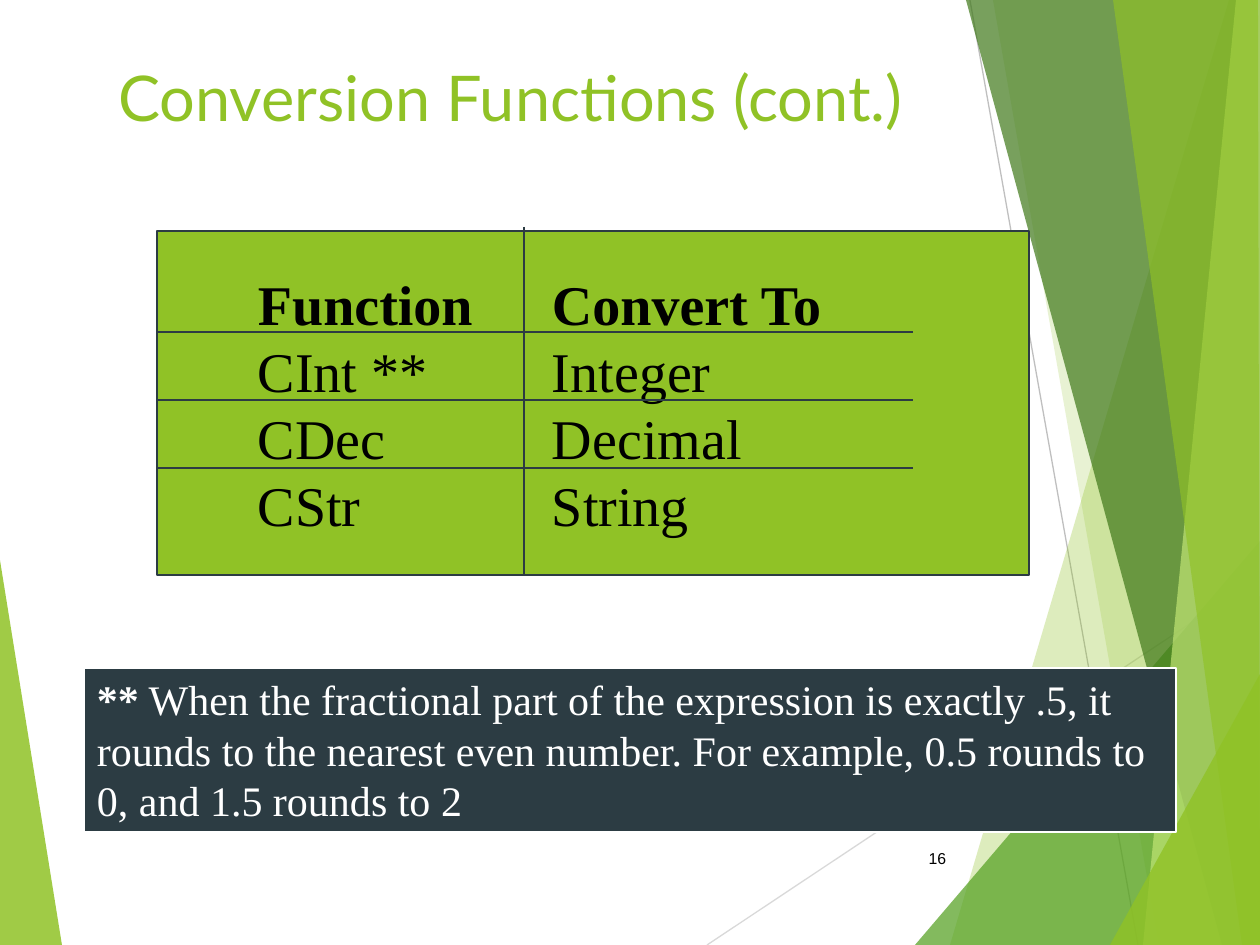
from lxml.etree import SubElement
from pptx import Presentation
from pptx.dml.color import RGBColor
from pptx.enum.shapes import MSO_CONNECTOR, MSO_SHAPE
from pptx.enum.text import MSO_ANCHOR, PP_ALIGN
from pptx.oxml.ns import qn
from pptx.util import Pt

SCALE = 914400 / 126
WIDE, HIGH = 1260, 945
LIME = RGBColor(0x90, 0xC2, 0x26)
GREEN = RGBColor(0x54, 0xA0, 0x21)
DARK = RGBColor(0x3F, 0x78, 0x19)
PALE = RGBColor(0xC0, 0xE4, 0x74)
SLATE = RGBColor(0x2C, 0x3C, 0x43)
SILVER = RGBColor(0xBF, 0xBF, 0xBF)
LIGHT = RGBColor(0xD9, 0xD9, 0xD9)
WHITE = RGBColor(0xFF, 0xFF, 0xFF)
BLACK = RGBColor(0, 0, 0)
SERIF = "Times New Roman"

EDGE = [([(0, 560), (62, HIGH), (0, HIGH)], LIME, 85)]
FACETS = [
    ([(1229, 0), (950, HIGH), (WIDE, HIGH), (WIDE, 0)], LIME, 30),
    ([(993, 0), (1159, HIGH), (WIDE, HIGH), (WIDE, 0)], LIME, 20),
    ([(915, HIGH), (WIDE, 541), (WIDE, HIGH)], GREEN, 72),
    ([(966, 0), (1222, HIGH), (WIDE, HIGH), (WIDE, 0)], DARK, 70),
    ([(1236, 0), (1143, HIGH), (WIDE, HIGH), (WIDE, 0)], PALE, 70),
    ([(1113, 0), (1242, HIGH), (WIDE, HIGH), (1258, 0)], LIME, 65),
    ([(1110, HIGH), (WIDE, 674), (WIDE, HIGH)], LIME, 80),
]
ROWS = [("Function", "Convert To"), ("CInt **", "Integer"),
        ("CDec", "Decimal"), ("CStr", "String")]


def px(*sizes):
    """Turn pixel lengths into EMU."""
    return [round(size * SCALE) for size in sizes]


def style(para, name, size, color, bold=False):
    """Set the font of a paragraph."""
    font = para.font
    font.name, font.size, font.bold = name, Pt(size), bold
    font.color.rgb = color


def inset(frame, left, top):
    """Set equal side and end margins on a wrapped text frame."""
    frame.word_wrap = True
    frame.margin_left = frame.margin_right = px(left)[0]
    frame.margin_top = frame.margin_bottom = px(top)[0]


def rule(slide, start, end, color):
    """Draw a thin straight line."""
    line = slide.shapes.add_connector(
        MSO_CONNECTOR.STRAIGHT, *px(*start, *end))
    line.line.color.rgb = color
    line.line.width = Pt(0.75)
    SubElement(line._element.spPr, qn("a:effectLst"))


def facet(slide, points, color, alpha):
    """Draw a translucent polygon."""
    build = slide.shapes.build_freeform(*points[0], scale=SCALE)
    build.add_line_segments(points[1:], close=True)
    shape = build.convert_to_shape()
    shape.shadow.inherit = False
    shape.line.fill.background()
    shape.fill.solid()
    shape.fill.fore_color.rgb = color
    tint = shape._element.spPr.find(".//" + qn("a:srgbClr"))
    SubElement(tint, qn("a:alpha"), val=str(alpha * 1000))


def panel(slide, box, fill, line):
    """Add an outlined rectangle and return its text frame."""
    shape = slide.shapes.add_shape(MSO_SHAPE.RECTANGLE, *px(*box))
    shape.shadow.inherit = False
    shape.fill.solid()
    shape.fill.fore_color.rgb = fill
    shape.line.color.rgb = line
    shape.line.width = Pt(0.75)
    shape.text_frame.vertical_anchor = MSO_ANCHOR.TOP
    return shape.text_frame


def decor(slide):
    """Draw the facets along the slide edges."""
    for item in EDGE:
        facet(slide, *item)
    rule(slide, (707, HIGH), (WIDE, 577), LIGHT)
    rule(slide, (970, 0), (1138, HIGH), SILVER)
    for item in FACETS:
        facet(slide, *item)


def heading(slide, box, text):
    """Place and format the title."""
    title = slide.shapes.title
    title.left, title.top, title.width, title.height = px(*box)
    frame = title.text_frame
    frame.text = text
    inset(frame, 13, 6)
    frame.vertical_anchor = MSO_ANCHOR.TOP
    para = frame.paragraphs[0]
    para.alignment = PP_ALIGN.LEFT
    style(para, "Lato", 36, LIME)


def grid(slide, box):
    """Show the functions in two tabbed columns with ruled lines."""
    left, top, _, high = box
    frame = panel(slide, box, LIME, SLATE)
    inset(frame, 101, 38)
    frame.text = "\n".join("\t".join(row) for row in ROWS)
    for count, para in enumerate(frame.paragraphs):
        para.alignment = PP_ALIGN.LEFT
        tabs = SubElement(para._p.get_or_add_pPr(), qn("a:tabLst"))
        SubElement(tabs, qn("a:tab"), pos=str(px(294)[0]), algn="l")
        style(para, SERIF, 32, BLACK, count == 0)
    for count in range(len(ROWS) - 1):
        mark = top + 101 + 68 * count
        rule(slide, (left, mark), (left + 756, mark), SLATE)
    rule(slide, (left + 367, top - 4), (left + 367, top + high - 1), SLATE)


def note(slide, box, mark, text):
    """Show the footnote with its bold mark."""
    frame = panel(slide, box, SLATE, WHITE)
    inset(frame, 13, 6)
    para = frame.paragraphs[0]
    para.alignment = PP_ALIGN.LEFT
    style(para, SERIF, 24, WHITE)
    lead = para.add_run()
    lead.text = mark
    lead.font.bold = True
    para.add_run().text = text


def number(slide, box, text):
    """Show the slide number."""
    frame = slide.shapes.add_textbox(*px(*box)).text_frame
    inset(frame, 13, 6)
    frame.vertical_anchor = MSO_ANCHOR.MIDDLE
    frame.text = text
    para = frame.paragraphs[0]
    para.alignment = PP_ALIGN.RIGHT
    style(para, "Arial", 9, BLACK)


def main():
    """Build and save the slide."""
    deck = Presentation()
    deck.slide_width, deck.slide_height = px(WIDE, HIGH)
    slide = deck.slides.add_slide(deck.slide_layouts[5])
    decor(slide)
    heading(slide, (105, 53, 1134, 157), "Conversion Functions (cont.)")
    number(slide, (888, 833, 71, 50), "16")
    grid(slide, (157, 231, 872, 344))
    note(slide, (84, 668, 1092, 164), "**",
         " When the fractional part of the expression is exactly .5, "
         "it rounds to the nearest even number. For example, "
         "0.5 rounds to 0, and 1.5 rounds to 2")
    deck.save("out.pptx")


if __name__ == "__main__":
    main()
